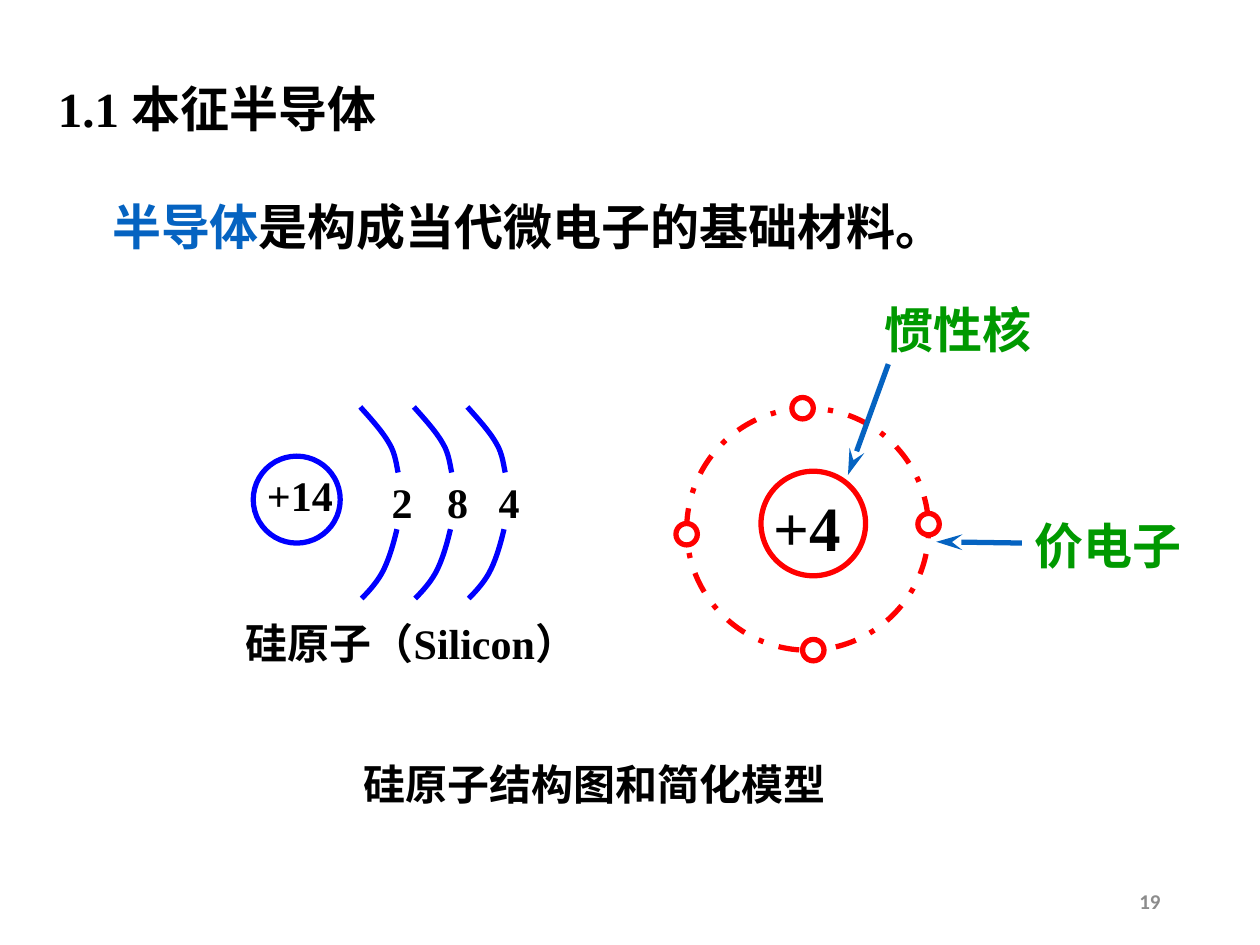
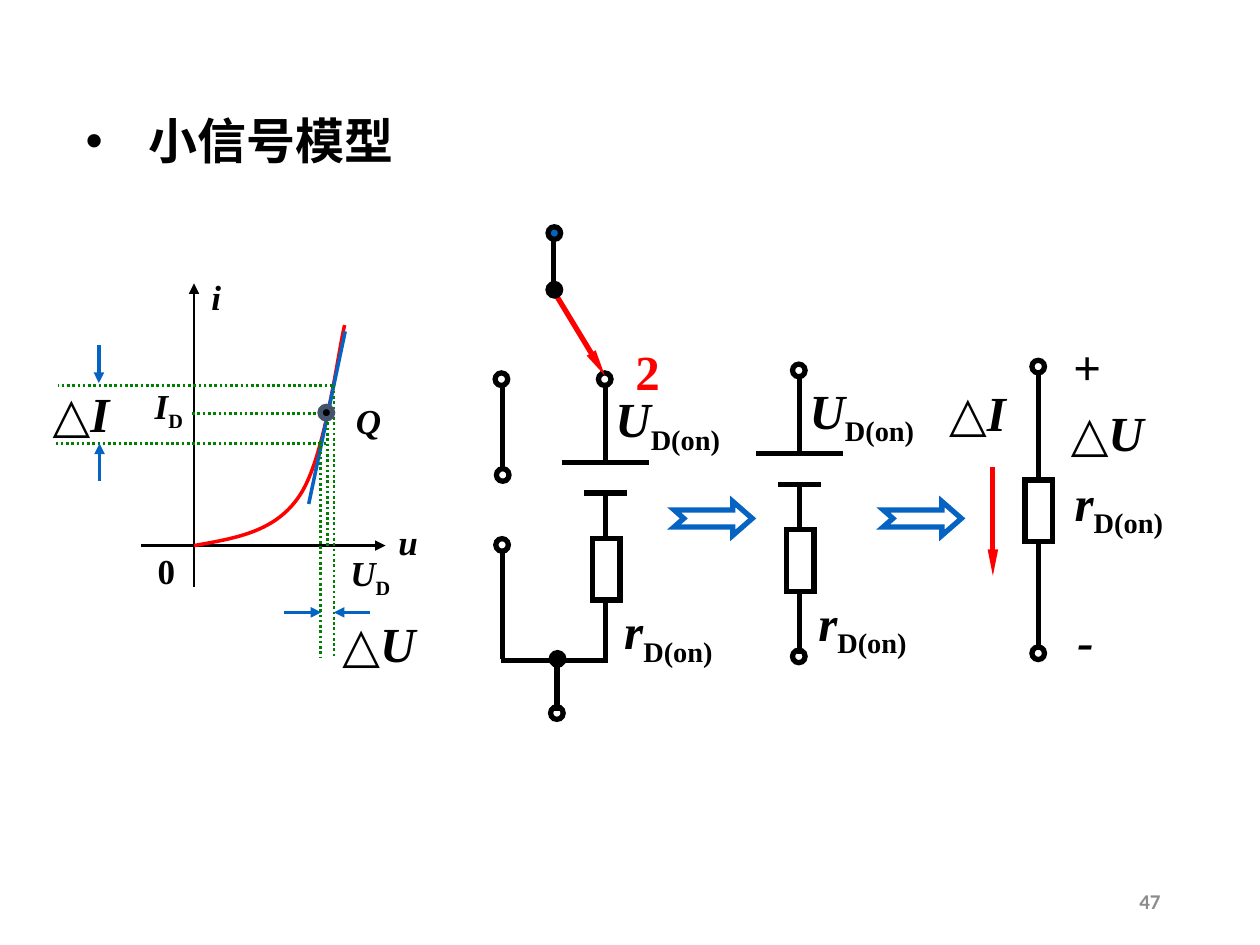
from pptx import Presentation
from pptx.dml.color import RGBColor
from pptx.enum.dml import MSO_LINE as Dash
from pptx.enum.shapes import MSO_CONNECTOR as Connector, MSO_SHAPE as Shape
from pptx.enum.text import MSO_ANCHOR as Anchor, MSO_AUTO_SIZE as Fit, PP_ALIGN as Align
from pptx.oxml.ns import qn
from pptx.util import Emu, Inches, Pt
from lxml.etree import SubElement

# The slide is a grid of 100 columns by 75 rows; every length is in grid cells
COLUMNS, ROWS = 100, 75
CELL = Inches(0.1)

BLACK = RGBColor(0x00, 0x00, 0x00)
WHITE = RGBColor(0xFF, 0xFF, 0xFF)
RED = RGBColor(0xFF, 0x00, 0x00)
BLUE = RGBColor(0x00, 0x00, 0xFF)
ACCENT = RGBColor(0x05, 0x63, 0xC1)
LABEL_GREEN = RGBColor(0x00, 0x99, 0x00)
GUIDE_GREEN = RGBColor(0x00, 0x80, 0x00)
SLATE = RGBColor(0x44, 0x54, 0x6A)
GREY = RGBColor(0x8C, 0x8C, 0x8C)

SERIF, SANS = "Times New Roman", "Calibri"
TITLE_ONLY, TITLE_AND_BODY = 5, 1

# Arrowheads: type, width, length
AXIS_TIP = ("triangle", "med", "med")
SLIM_TIP = ("triangle", "sm", "lg")
POINTER_TIP = ("stealth", "med", "lg")


def cells(*counts):
    return [Emu(round(count * CELL)) for count in counts]


# Text
def add_span(para, text, size=28, color=BLACK, bold=True, italic=False,
             lowered=False, font=SERIF):
    span = para.add_run()
    span.text = text
    span.font.size, span.font.name = Pt(size), font
    span.font.bold, span.font.italic = bold, italic
    span.font.color.rgb = color
    if lowered:
        span.font._element.set("baseline", "-25000")


def add_label(page, place, text, align=Align.LEFT, anchor=Anchor.TOP,
              wrap=True, fit=Fit.SHAPE_TO_FIT_TEXT, **style):
    box = page.shapes.add_textbox(*cells(*place))
    frame = box.text_frame
    frame.word_wrap, frame.auto_size = wrap, fit
    frame.vertical_anchor = anchor
    para = frame.paragraphs[0]
    para.alignment = align
    add_span(para, text, **style)
    return para


def add_symbol(page, place, name, sub="", size=28, italic=True, color=BLACK):
    para = add_label(page, place, name, Align.CENTER, Anchor.MIDDLE, False,
                     size=size, italic=italic, color=color)
    if sub:
        add_span(para, sub, size=size, lowered=True)


def add_delta(page, x, y, width, name):
    para = add_label(page, (x, y, width, 5.7), "△", anchor=Anchor.MIDDLE, wrap=False)
    add_span(para, name, italic=True)


def fill_placeholder(holder, place, *spans, bullet=False):
    holder.left, holder.top, holder.width, holder.height = cells(*place)
    frame = holder.text_frame
    frame.word_wrap = True
    frame.auto_size, frame.vertical_anchor = Fit.NONE, Anchor.TOP
    para = frame.paragraphs[0]
    para.alignment, para.space_before = Align.LEFT, Pt(0)
    indent = Inches(0.5) if bullet else 0
    props = para._p.get_or_add_pPr()
    props.set("marL", str(indent))
    props.set("indent", str(-indent))
    if bullet:
        SubElement(props, qn("a:buFont")).set("typeface", "Arial")
        SubElement(props, qn("a:buChar")).set("char", "•")
    else:
        SubElement(props, qn("a:buNone"))
    for text, color in spans:
        add_span(para, text, color=color)


def add_page(deck, layout, number):
    page = deck.slides.add_slide(deck.slide_layouts[layout])
    add_label(page, (70.6, 69.5, 22.5, 4), str(number), Align.RIGHT, Anchor.MIDDLE,
              fit=Fit.NONE, size=12, color=GREY, font=SANS)
    return page


# Lines and outlines
def style_outline(shape, color, width, fill=None, dash=None):
    shape.shadow.inherit = False
    if fill is None:
        shape.fill.background()
    else:
        shape.fill.solid()
        shape.fill.fore_color.rgb = fill
    shape.line.color.rgb, shape.line.width = color, Pt(width)
    if dash:
        shape.line.dash_style = dash


def add_outline(page, kind, place, color=BLACK, **style):
    shape = page.shapes.add_shape(kind, *cells(*place))
    style_outline(shape, color, 3, **style)
    SubElement(shape.line._get_or_add_ln(), qn("a:miter")).set("lim", "800000")
    return shape


def add_disc(page, x, y, radius, color=BLACK, **style):
    add_outline(page, Shape.OVAL, (x - radius, y - radius, 2 * radius, 2 * radius),
                color, **style)


def add_node(page, x, y, **style):
    add_disc(page, x, y, 0.5, **style)


def add_line(page, start, end, color=BLACK, width=3, dash=None, tip=None):
    line = page.shapes.add_connector(Connector.STRAIGHT, *cells(*start, *end))
    line.line.color.rgb, line.line.width = color, Pt(width)
    if dash:
        line.line.dash_style = dash
    if tip:
        head = SubElement(line.line._get_or_add_ln(), qn("a:tailEnd"))
        for name, value in zip(("type", "w", "len"), tip):
            head.set(name, value)
    SubElement(line._element.spPr, qn("a:effectLst"))


def add_curve(page, points, color, width, shift=0):
    """Chain of cubic curves: a start, then two handles and an end for each."""
    track = [tuple(cells(x + shift, y)) for x, y in points]
    builder = page.shapes.build_freeform(*track[0])
    builder.add_line_segments(track[1:], close=False)
    shape = builder.convert_to_shape()
    style_outline(shape, color, width)
    # Gather each three straight steps into one cubic curve
    steps = list(shape._element.iter(qn("a:lnTo")))
    outline = steps[0].getparent()
    for first in range(0, len(steps), 3):
        cubic = SubElement(outline, qn("a:cubicBezTo"))
        for step in steps[first:first + 3]:
            cubic.append(step[0])
            outline.remove(step)


# Silicon atom
UPPER_SHELL = [(28.6, 32.3), (29.5, 33.3), (30.4, 34.3), (30.9, 35.2),
               (31.4, 36), (31.5, 37.1), (31.6, 37.5)]
LOWER_SHELL = [(31.5, 42), (31.2, 43.3), (30.8, 44.6), (30.3, 45.5),
               (29.8, 46.4), (29, 47.2), (28.7, 47.5)]


def draw_shells(page):
    add_disc(page, 23.55, 39.65, 3.45, BLUE)
    add_label(page, (20.2, 36.8, 8.5, 5), "+14", size=24)
    for index, (count, x) in enumerate((("2", 30.1), ("8", 34.5), ("4", 38.6))):
        add_label(page, (x, 37.3, 3.5, 5), count, size=24)
        for shell in (UPPER_SHELL, LOWER_SHELL):
            add_curve(page, shell, BLUE, 3, shift=4.25 * index)


def draw_simple_model(page):
    add_disc(page, 64.55, 41.55, 4.15, RED)
    add_disc(page, 64.1, 42, 9.6, RED, dash=Dash.DASH_DOT)
    for x, y in ((64.55, 51.6), (73.7, 41.6), (54.5, 42.4), (63.7, 32.4)):
        add_disc(page, x, y, 0.85, RED, fill=WHITE)
    add_label(page, (60.4, 38.3, 10, 7), "+4", size=36)


def draw_atom_page(deck):
    page = add_page(deck, TITLE_AND_BODY, 19)
    fill_placeholder(page.shapes.title, (3.6, 5.7, 92.7, 5.7), ("1.1 本征半导体", BLACK))
    fill_placeholder(page.placeholders[1], (7.9, 15.1, 69.7, 5.7),
                     ("半导体", ACCENT), ("是构成当代微电子的基础材料。", BLACK))
    draw_shells(page.shapes.add_group_shape())
    add_label(page, (16.7, 48.5, 31.9, 5), "硅原子（Silicon）", Align.CENTER, size=24)
    add_label(page, (27.9, 59.7, 53.3, 5), "硅原子结构图和简化模型", size=24)
    draw_simple_model(page.shapes.add_group_shape())
    for text, place, start, end in (
            ("惯性核", (69.2, 23.3, 14.2, 5.7), (70.5, 28.9), (67.3, 37.7)),
            ("价电子", (81.1, 40.4, 14.7, 5.7), (81.1, 43.1), (74.3, 43))):
        add_line(page, start, end, ACCENT, tip=POINTER_TIP)
        add_label(page, place, text, color=LABEL_GREEN)


# Small-signal model
def add_resistor(page, x, top):
    add_outline(page, Shape.RECTANGLE, (x - 1.05, top, 2.2, 4.9))


def draw_diode_branch(page, x, plate):
    """Terminal, battery and resistor in series; plate is the battery's upper row."""
    add_node(page, x - 0.05, plate - 6.6)
    add_line(page, (x, plate), (x, plate - 6))
    add_line(page, (x - 3.45, plate), (x + 3.45, plate))
    add_line(page, (x - 1.7, plate + 2.43), (x + 1.75, plate + 2.43))
    add_line(page, (x, plate + 2.6), (x, plate + 6))
    add_resistor(page, x, plate + 6.03)
    add_line(page, (x, plate + 10.8), (x, plate + 15.9))
    add_symbol(page, (x - 0.7, plate - 6.03, 11.3, 5.7), "U", "D(on)")
    add_symbol(page, (x, plate + 10.8, 10, 5.7), "r", "D(on)")


def draw_switch_circuit(page):
    draw_diode_branch(page, 48.05, 36.7)
    for start, end in (((39.9, 30.7), (39.9, 37.3)), ((39.9, 43.8), (39.9, 52.3)),
                       ((43.95, 19), (43.95, 23.3)), ((48.1, 52.4), (39.8, 52.4)),
                       ((44.2, 52.3), (44.2, 56.4))):
        add_line(page, start, end)
    add_line(page, (44, 23.2), (48, 29.8), RED, tip=SLIM_TIP)
    for x, y in ((39.8, 30.1), (39.9, 37.7), (39.85, 43.25), (44.2, 56.6)):
        add_node(page, x, y)
    add_node(page, 44, 18.5, fill=ACCENT)
    for x, y in ((44, 23), (44.25, 52.3)):
        add_node(page, x, y, fill=BLACK)
    add_symbol(page, (49.4, 26.6, 4, 5.7), "2", italic=False, color=RED)


def draw_battery_circuit(page):
    draw_diode_branch(page, 63.45, 36)
    add_node(page, 63.4, 52.1)


def draw_resistor_circuit(page):
    x = 82.4
    add_line(page, (x, 38.2), (x, 29.8))
    add_line(page, (x, 43), (x, 51.6))
    add_resistor(page, x, 38.1)
    for y in (29.1, 51.85):
        add_node(page, x, y)
    add_symbol(page, (83.8, 37.3, 10, 5.7), "r", "D(on)")
    add_symbol(page, (84.15, 26.2, 4.2, 5.7), "+")
    add_symbol(page, (84.5, 47.95, 3.3, 5.7), "-")
    add_delta(page, 84, 31.4, 8.7, "U")
    add_delta(page, 74.35, 29.85, 7.4, "I")
    add_line(page, (78.8, 37.1), (78.8, 45.7), RED, tip=SLIM_TIP)


def draw_axes(page):
    for start, end in (((15.4, 46.6), (15.4, 22.5)), ((11.2, 43.3), (30.6, 43.3))):
        add_line(page, start, end, width=1.5, tip=AXIS_TIP)
    for place, name in (((15.75, 21.4, 2.8, 4.3), "i"), ((30.6, 40.8, 3.6, 4.3), "u"),
                        ((11.5, 43.1, 3.4, 4.3), "0")):
        add_symbol(page, place, name, size=20, italic=name != "0")


def draw_characteristic(page):
    # Operating point labels
    add_symbol(page, (11.2, 30.25, 4.4, 4.3), "I", "D", size=20)
    add_symbol(page, (26.75, 43.5, 5.3, 4.3), "U", "D", size=20)
    add_label(page, (27.25, 31.2, 5.1, 4.3), "Q", anchor=Anchor.MIDDLE,
              size=20, italic=True)
    draw_axes(page.shapes.add_group_shape())
    # Curve with its tangent
    add_curve(page, [(27.35, 25.8), (26.8, 28.1), (25.8, 36.3), (23.8, 39.3),
                     (21.9, 42.2), (18.8, 42.7), (15.4, 43.3)], RED, 2)
    add_line(page, (24.5, 40), (27.4, 26.3), ACCENT, 2)
    # Dotted guides
    for start, end in (((25.9, 32.83), (15.2, 32.83)), ((26.4, 30.6), (4.6, 30.6)),
                       ((25.9, 35.2), (4.3, 35.2)), ((26.5, 30.6), (26.5, 52.2)),
                       ((25.45, 35), (25.45, 52.2)), ((26, 32.7), (26, 43.4))):
        add_line(page, start, end, GUIDE_GREEN, 1.5, Dash.ROUND_DOT)
    # Increments
    add_delta(page, 26.2, 48.2, 8.7, "U")
    add_delta(page, 3.2, 29.9, 7.4, "I")
    add_node(page, 25.9, 32.75, color=SLATE, fill=BLACK)
    for start, end in (((22.5, 48.6), (25.5, 48.6)), ((29.4, 48.6), (26.5, 48.6)),
                       ((7.85, 27.4), (7.85, 30.4)), ((7.9, 38.2), (7.9, 35.2))):
        add_line(page, start, end, ACCENT, 2, tip=AXIS_TIP)


def draw_model_page(deck):
    page = add_page(deck, TITLE_ONLY, 47)
    fill_placeholder(page.shapes.title, (5.8, 8.3, 67.2, 5.7), ("小信号模型", BLACK),
                     bullet=True)
    for draw in (draw_switch_circuit, draw_battery_circuit, draw_resistor_circuit):
        draw(page.shapes.add_group_shape())
    draw_characteristic(page)
    for x in (53.5, 70.1):
        arrow = add_outline(page, Shape.NOTCHED_RIGHT_ARROW, (x, 39.8, 6.2, 2.7), ACCENT)
        arrow.adjustments[0], arrow.adjustments[1] = 0.5, 0.572


def main():
    deck = Presentation()
    deck.slide_width, deck.slide_height = cells(COLUMNS, ROWS)
    draw_atom_page(deck)
    draw_model_page(deck)
    deck.save("out.pptx")


if __name__ == "__main__":
    main()
